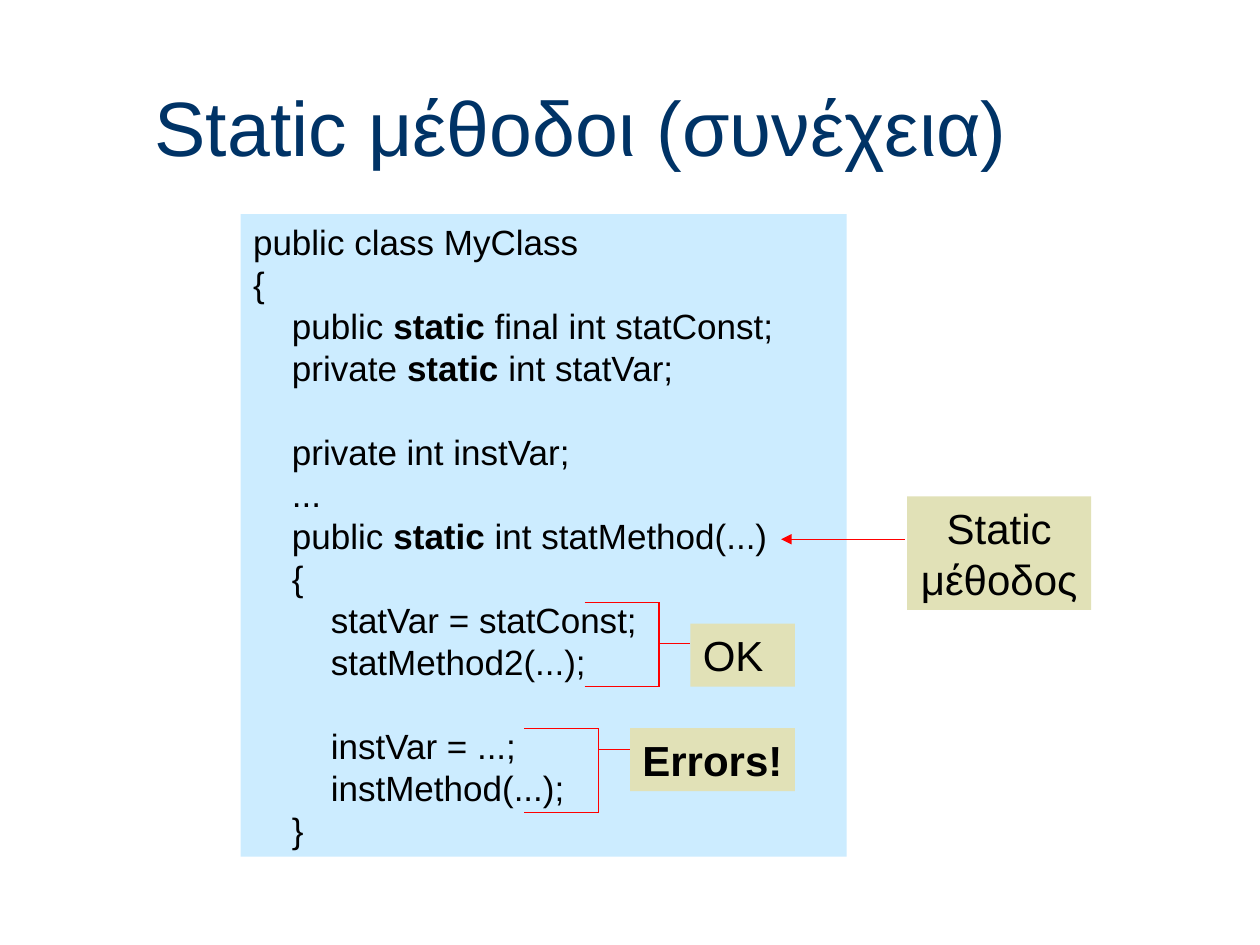
from dataclasses import dataclass

from lxml import etree
from pptx import Presentation
from pptx.dml.color import RGBColor
from pptx.enum.shapes import MSO_CONNECTOR as Connector, MSO_SHAPE as Shape
from pptx.enum.text import MSO_ANCHOR as Anchor, PP_ALIGN as Align
from pptx.oxml.ns import qn
from pptx.util import Inches, Pt


@dataclass(frozen=True)
class Theme:
    font: str = "Arial"
    title_color: RGBColor = RGBColor(0x00, 0x33, 0x66)
    text_color: RGBColor = RGBColor(0x00, 0x00, 0x00)
    code_fill: RGBColor = RGBColor(0xCC, 0xEC, 0xFF)
    label_fill: RGBColor = RGBColor(0xE1, 0xE1, 0xB7)
    mark_color: RGBColor = RGBColor(0xFF, 0x00, 0x00)
    title_size: int = 44
    code_size: int = 20
    label_size: int = 24
    line_factor: float = 1.2
    mark_width: float = 0.75


THEME = Theme()
KEYWORD = "static"
CODE = """public class MyClass
{
    public static final int statConst;
    private static int statVar;

    private int instVar;
    ...
    public static int statMethod(...)
    {
        statVar = statConst;
        statMethod2(...);

        instVar = ...;
        instMethod(...);
    }"""


def style_paragraph(paragraph, size, color=THEME.text_color):
    paragraph.line_spacing = Pt(size * THEME.line_factor)
    for run in paragraph.runs:
        run.font.name = THEME.font
        run.font.size = Pt(size)
        run.font.color.rgb = color


def add_title(slide, text):
    title = slide.shapes.add_textbox(Inches(1.13), Inches(0.53), Inches(8.5), Inches(0.94))
    frame = title.text_frame
    frame.word_wrap = True
    frame.vertical_anchor = Anchor.MIDDLE
    frame.text = text
    style_paragraph(frame.paragraphs[0], THEME.title_size, THEME.title_color)


def add_panel(slide, left, top, width, height, fill):
    panel = slide.shapes.add_shape(
        Shape.RECTANGLE, Inches(left), Inches(top), Inches(width), Inches(height))
    panel.shadow.inherit = False
    panel.fill.solid()
    panel.fill.fore_color.rgb = fill
    panel.line.fill.background()
    panel.text_frame.word_wrap = True
    panel.text_frame.vertical_anchor = Anchor.TOP
    return panel.text_frame


def add_code(slide, code):
    frame = add_panel(slide, 1.91, 1.7, 4.81, 5.1, THEME.code_fill)
    # A blank line of code becomes space before the line that follows it
    lines = code.replace("\n\n", "\n\f").split("\n")
    frame.text = "\n".join(line.lstrip("\f") for line in lines)
    for line, paragraph in zip(lines, frame.paragraphs):
        paragraph.alignment = Align.LEFT
        if line.startswith("\f"):
            paragraph.space_before = Pt(THEME.code_size * THEME.line_factor)
        before, keyword, after = paragraph.text.partition(f" {KEYWORD} ")
        if keyword:
            paragraph.text = before + " "
            paragraph.add_run().text = KEYWORD
            paragraph.add_run().text = " " + after
            paragraph.runs[1].font.bold = True
        style_paragraph(paragraph, THEME.code_size)


def add_label(slide, text, left, top, width, height, align=Align.LEFT, bold=False):
    frame = add_panel(slide, left, top, width, height, THEME.label_fill)
    frame.text = text
    paragraph = frame.paragraphs[0]
    paragraph.alignment = align
    paragraph.font.bold = bold
    style_paragraph(paragraph, THEME.label_size)
    paragraph.runs[0].font.bold = bold


def add_line(slide, x1, y1, x2, y2, arrow=False):
    line = slide.shapes.add_connector(
        Connector.STRAIGHT, Inches(x1), Inches(y1), Inches(x2), Inches(y2))
    line.line.color.rgb = THEME.mark_color
    line.line.width = Pt(THEME.mark_width)
    properties = line.element.spPr
    if arrow:
        outline = properties.find(qn("a:ln"))
        etree.SubElement(outline, qn("a:tailEnd"), type="triangle")
    etree.SubElement(properties, qn("a:effectLst"))


def add_bracket(slide, label_left, top, stem_y):
    """Bracket around two code lines, with a stem that ends at its label."""
    spine = label_left - 0.25
    bottom = top + 0.67
    for y in (top, bottom):
        add_line(slide, spine - 0.59, y, spine, y)
    add_line(slide, spine, top, spine, bottom)
    add_line(slide, spine, stem_y, label_left, stem_y)


def main():
    prs = Presentation()
    prs.slide_width, prs.slide_height = Inches(10), Inches(7.5)
    slide = prs.slides.add_slide(prs.slide_layouts[6])

    add_title(slide, "Static μέθοδοι (συνέχεια)")
    add_code(slide, CODE)

    # Instance members used from a static method
    add_bracket(slide, 5, 5.78, 5.95)
    add_label(slide, "Errors!", 5, 5.78, 1.31, 0.5, bold=True)

    # Static members used from a static method
    add_bracket(slide, 5.48, 4.78, 5.11)
    add_label(slide, "OK", 5.48, 4.95, 0.83, 0.5)

    # Static method declaration
    add_label(slide, "Static μέθοδος", 7.2, 3.94, 1.46, 0.9, Align.CENTER)
    add_line(slide, 7.18, 4.28, 6.2, 4.28, arrow=True)

    prs.save("out.pptx")


if __name__ == "__main__":
    main()
